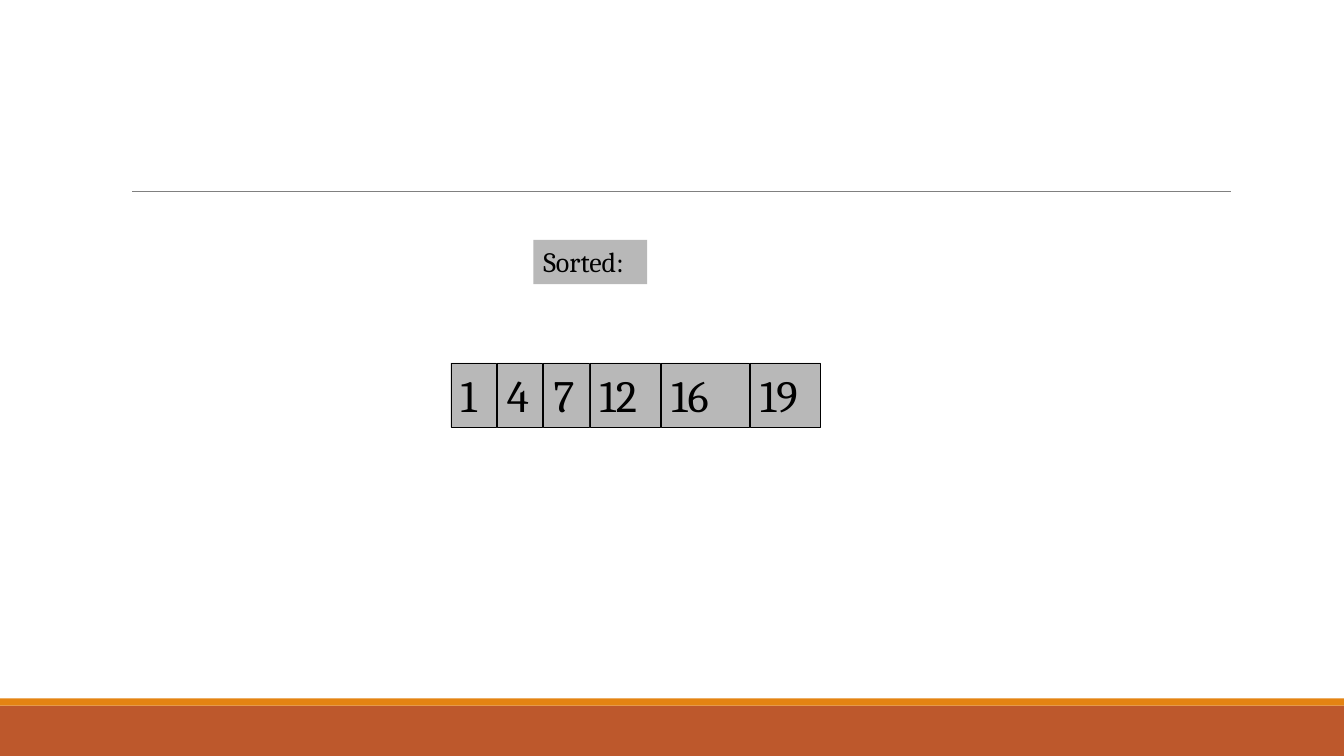
import pptx
import pptx.util
import pptx.dml.color
import pptx.enum.shapes
import pptx.enum.text
import pptx.oxml.ns
import lxml.etree

Inches = pptx.util.Inches
Pt = pptx.util.Pt
RGB = pptx.dml.color.RGBColor.from_string

THEME = {
    "font": "Cambria", "label_size": 20, "value_size": 32, "text": "000000",
    "cell": "B8B8B8", "rule": "808080", "band": "BD582C", "stripe": "E48312",
}
WIDTH, HEIGHT = 13.33, 7.5

prs = pptx.Presentation()
prs.slide_width, prs.slide_height = Inches(WIDTH), Inches(HEIGHT)
s = prs.slides.add_slide(prs.slide_layouts[6])


def add_box(left, top, width, height, fill, line=None):
    sp = s.shapes.add_shape(pptx.enum.shapes.MSO_SHAPE.RECTANGLE,
                            Inches(left), Inches(top), Inches(width), Inches(height))
    sp.shadow.inherit = False
    sp.fill.solid()
    sp.fill.fore_color.rgb = RGB(fill)
    if line:
        sp.line.color.rgb = RGB(line)
        sp.line.width = Pt(0.25)
    else:
        sp.line.fill.background()
    return sp


def write(sp, text, size):
    tf = sp.text_frame
    tf.word_wrap = True
    tf.vertical_anchor = pptx.enum.text.MSO_ANCHOR.TOP
    tf.text = text
    p = tf.paragraphs[0]
    p.alignment = pptx.enum.text.PP_ALIGN.LEFT
    r = p.runs[0]
    r.font.name, r.font.size = THEME["font"], Pt(size)
    r.font.color.rgb = RGB(THEME["text"])


# Footer bands and title rule
band, stripe = 0.5, 0.07
add_box(0, HEIGHT - band, WIDTH, band, THEME["band"])
add_box(0, HEIGHT - band - stripe, WIDTH, stripe, THEME["stripe"])
rule = s.shapes.add_connector(pptx.enum.shapes.MSO_CONNECTOR.STRAIGHT,
                              Inches(1.31), Inches(1.9), Inches(12.21), Inches(1.9))
rule.line.color.rgb = RGB(THEME["rule"])
rule.line.width = Pt(0.5)
sp_pr = rule._element.spPr
lxml.etree.SubElement(sp_pr, pptx.oxml.ns.qn("a:effectLst"))

# Sorted array: cells follow one another from left to right
write(add_box(5.29, 2.38, 1.13, 0.44, THEME["cell"]), "Sorted:", THEME["label_size"])
left, gap = 4.47, 0.01
for value, width in [(1, 0.45), (4, 0.45), (7, 0.45), (12, 0.7), (16, 0.87), (19, 0.7)]:
    cell = add_box(left, 3.6, width, 0.64, THEME["cell"], THEME["text"])
    write(cell, str(value), THEME["value_size"])
    left += width + gap

prs.save("out.pptx")
